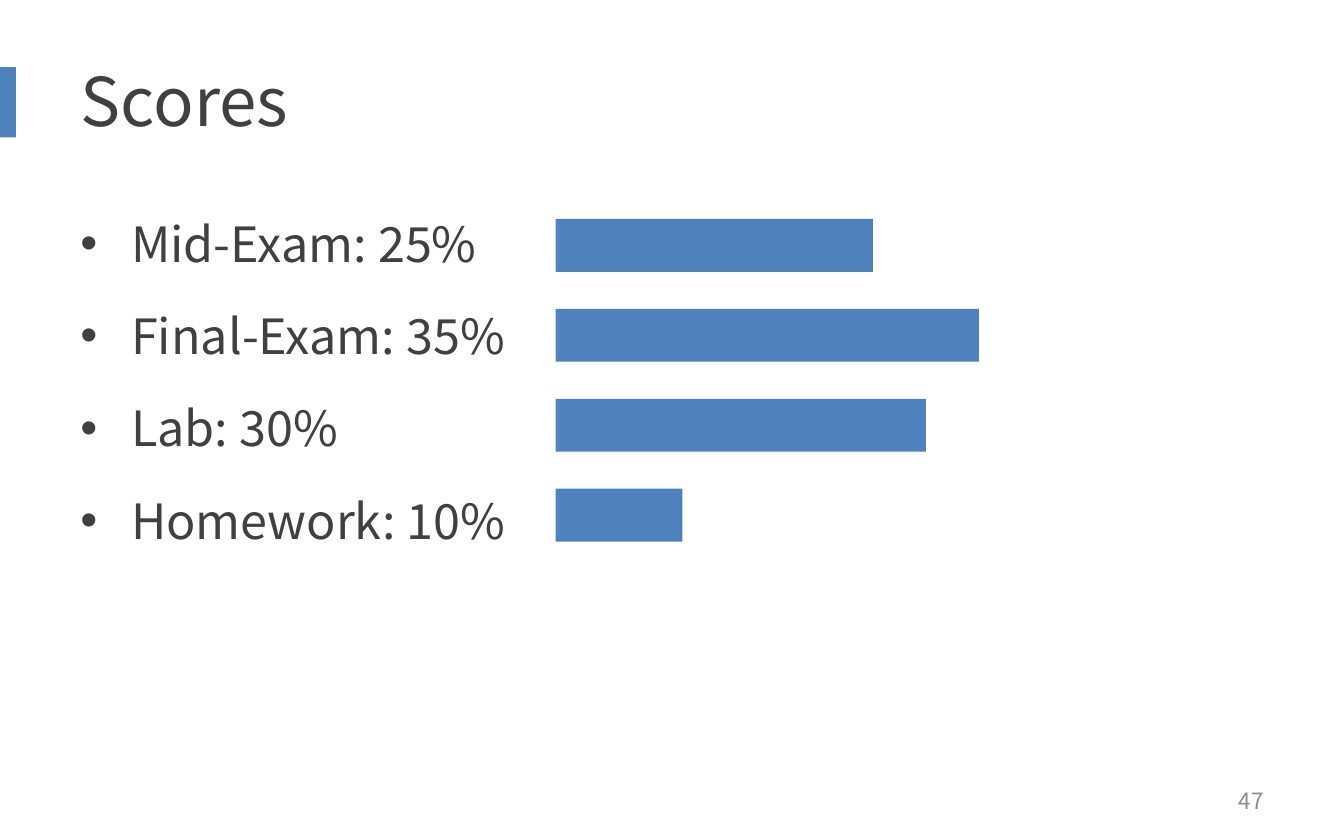
import pptx
import pptx.dml.color
import pptx.enum.shapes
import pptx.enum.text
import pptx.oxml.ns
import pptx.util
import lxml.etree

Cm, Pt = pptx.util.Cm, pptx.util.Pt
ALIGN = pptx.enum.text.PP_ALIGN
ANCHOR = pptx.enum.text.MSO_ANCHOR

# Content
TITLE = "Scores"
PAGE_NUMBER = "47"
SCORES = [  # label, bar length in cm
    ("Mid-Exam: 25%", 6),
    ("Final-Exam: 35%", 8),
    ("Lab: 30%", 7),
    ("Homework: 10%", 2.4),
]

# Style
FONT = "Noto Sans CJK SC"
COLOURS = {"accent": "4F81BD", "text": "404040", "number": "8C8C8C"}
BAR_LEFT, BAR_TOP, BAR_HEIGHT, BAR_PITCH = 10.5, 4.14, 1, 1.7
BULLET_INDENT = Cm(0.96)


def colour(name):
    return pptx.dml.color.RGBColor.from_string(COLOURS[name])


def add_bullet(paragraph):
    properties = paragraph._p.get_or_add_pPr()
    properties.set("marL", str(BULLET_INDENT))
    properties.set("indent", str(-BULLET_INDENT))
    for tag, name, value in (("a:buFont", "typeface", "Arial"), ("a:buChar", "char", "•")):
        element = lxml.etree.SubElement(properties, pptx.oxml.ns.qn(tag))
        element.set(name, value)


def write_text(shape, lines, size, colour_name="text", align=ALIGN.LEFT,
               anchor=ANCHOR.TOP, bullets=False, gap=0, line_spacing=1.0):
    frame = shape.text_frame
    frame.word_wrap = True
    frame.auto_size = pptx.enum.text.MSO_AUTO_SIZE.NONE
    frame.vertical_anchor = anchor
    for index, line in enumerate(lines):
        paragraph = frame.add_paragraph() if index else frame.paragraphs[0]
        paragraph.alignment = align
        paragraph.line_spacing = line_spacing
        paragraph.space_before = Pt(gap if index else 0)
        if bullets:
            add_bullet(paragraph)
        run = paragraph.add_run()
        run.text = line
        run.font.size = Pt(size)
        run.font.name = FONT
        run.font.color.rgb = colour(colour_name)
        east_asian = lxml.etree.SubElement(run._r.get_or_add_rPr(), pptx.oxml.ns.qn("a:ea"))
        east_asian.set("typeface", FONT)


def add_bar(slide, left, top, width, height):
    bar = slide.shapes.add_shape(pptx.enum.shapes.MSO_SHAPE.RECTANGLE,
                                 Cm(left), Cm(top), Cm(width), Cm(height))
    bar.shadow.inherit = False
    bar.fill.solid()
    bar.fill.fore_color.rgb = colour("accent")
    bar.line.fill.background()


def main():
    presentation = pptx.Presentation()
    presentation.slide_width, presentation.slide_height = Cm(25.4), Cm(15.88)
    slide = presentation.slides.add_slide(presentation.slide_layouts[5])

    # Title with its marker at the slide edge
    add_bar(slide, -0.15, 1.27, 0.45, 1.33)
    title = slide.shapes.title
    title.left, title.top, title.width, title.height = Cm(1.27), Cm(0.64), Cm(22.86), Cm(2.5)
    write_text(title, [TITLE], 36, anchor=ANCHOR.MIDDLE)

    # Score list
    body = slide.shapes.add_textbox(Cm(1.27), Cm(3.7), Cm(22.86), Cm(10.46))
    write_text(body, [label for label, length in SCORES], 26,
               bullets=True, gap=12, line_spacing=1.2)

    # One bar for each score
    for row, (label, length) in enumerate(SCORES):
        add_bar(slide, BAR_LEFT, BAR_TOP + row * BAR_PITCH, length, BAR_HEIGHT)

    # Page number
    number = slide.shapes.add_textbox(Cm(18.2), Cm(14.71), Cm(5.93), Cm(0.84))
    write_text(number, [PAGE_NUMBER], 12, colour_name="number",
               align=ALIGN.RIGHT, anchor=ANCHOR.MIDDLE)

    presentation.save("out.pptx")


if __name__ == "__main__":
    main()
